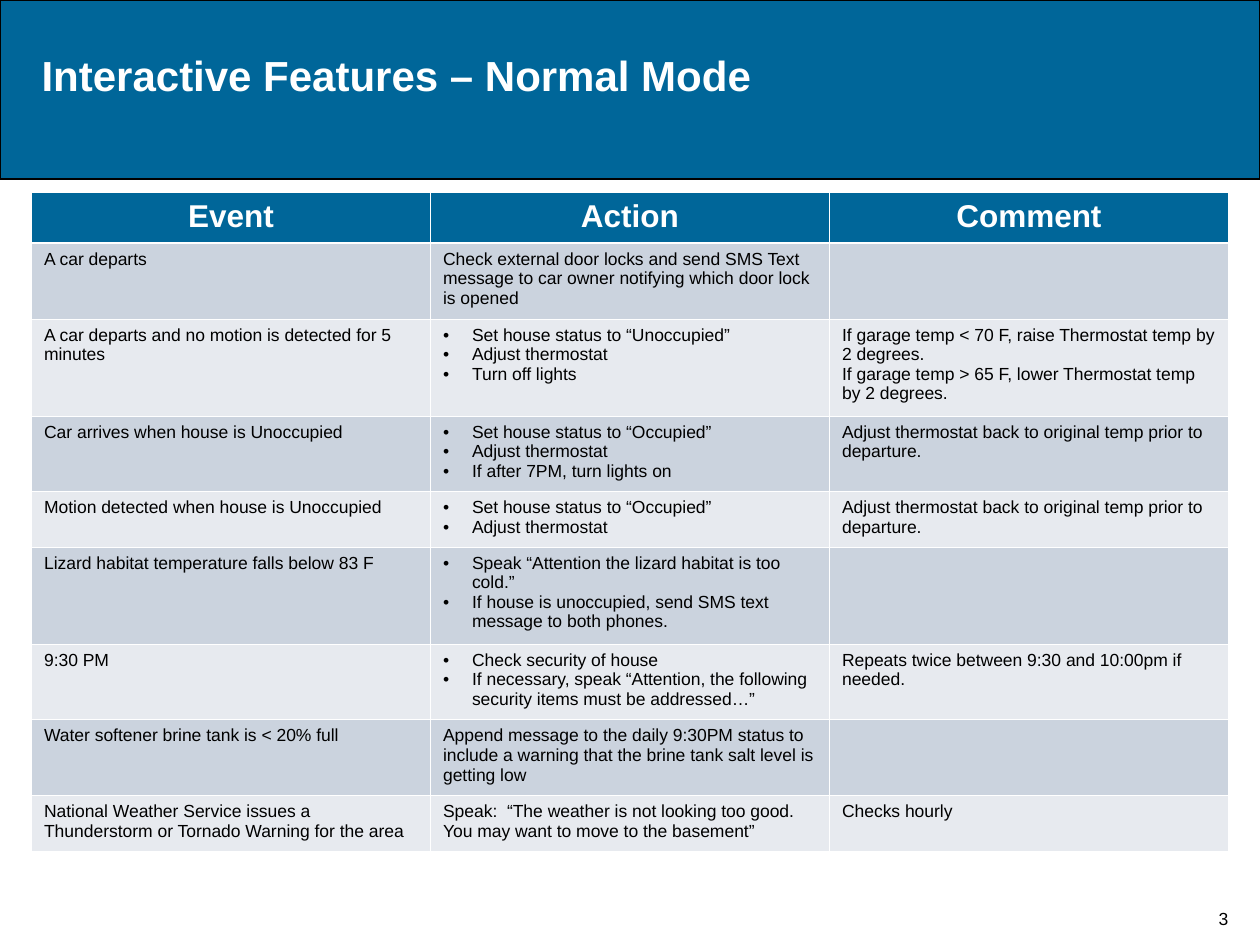
from lxml import etree
from pptx import Presentation
from pptx.dml.color import RGBColor
from pptx.enum import shapes, text
from pptx.oxml.ns import qn
from pptx.util import Inches, Pt

COLORS = {"blue": "006699", "black": "000000", "white": "FFFFFF",
          "band_dark": "CBD3DE", "band_light": "E7EAEF"}

HEADERS = ["Event", "Action", "Comment"]

# Event, action, comment, row height; a list of actions is bulleted
ROWS = [
    ("A car departs",
     "Check external door locks and send SMS Text message to car owner "
     "notifying which door lock is opened", "", 0.6),
    ("A car departs and no motion is detected for 5 minutes",
     ["Set house status to “Unoccupied”", "Adjust thermostat", "Turn off lights"],
     "If garage temp < 70 F, raise Thermostat temp by 2 degrees.\n"
     "If garage temp > 65 F, lower Thermostat temp by 2 degrees.", 0.77),
    ("Car arrives when house is Unoccupied",
     ["Set house status to “Occupied”", "Adjust thermostat",
      "If after 7PM, turn lights on"],
     "Adjust thermostat back to original temp prior to departure.", 0.6),
    ("Motion detected when house is Unoccupied",
     ["Set house status to “Occupied”", "Adjust thermostat"],
     "Adjust thermostat back to original temp prior to departure.", 0.44),
    ("Lizard habitat temperature falls below 83 F",
     ["Speak “Attention the lizard habitat is too cold.”",
      "If house is unoccupied, send SMS text message to both phones."], "", 0.77),
    ("9:30 PM",
     ["Check security of house",
      "If necessary, speak “Attention, the following security items must be addressed…”"],
     "Repeats twice between 9:30 and 10:00pm if needed.", 0.6),
    ("Water softener brine tank is < 20% full",
     "Append message to the daily 9:30PM status to include a warning that "
     "the brine tank salt level is getting low", "", 0.6),
    ("National Weather Service issues a Thunderstorm or Tornado Warning for the area",
     "Speak:  “The weather is not looking too good.  You may want to move to the basement”",
     "Checks hourly", 0.44),
]


def rgb(name):
    return RGBColor.from_string(COLORS[name])


class SlideBuilder:
    font_name = "Arial"
    header_height = 0.4
    thin, thick = 0.45, 1.47

    def __init__(self, deck):
        self.page = deck.slides.add_slide(deck.slide_layouts[5])

    def add_text(self, frame, lines, size, color, bold=False, align="LEFT", bullets=False):
        for index, line in enumerate(lines):
            para = frame.paragraphs[0] if index == 0 else frame.add_paragraph()
            para.alignment = getattr(text.PP_ALIGN, align)
            if bullets:
                self.bullet(para)
            span = para.add_run()
            span.text = line
            formats = {"name": self.font_name, "size": Pt(size), "bold": bold}
            for key, value in formats.items():
                setattr(span.font, key, value)
            span.font.color.rgb = rgb(color)

    def bullet(self, para):
        props = para._p.get_or_add_pPr()
        indent = Inches(0.23)
        props.set("marL", str(indent))
        props.set("indent", str(-indent))
        etree.SubElement(props, qn("a:buFont"), typeface=self.font_name)
        etree.SubElement(props, qn("a:buChar"), char="•")

    def band(self, left, top, width, height):
        band = self.page.shapes.add_shape(
            shapes.MSO_SHAPE.RECTANGLE, *map(Inches, (left, top, width, height)))
        band.shadow.inherit = False
        band.fill.solid()
        band.fill.fore_color.rgb = rgb("blue")
        band.line.color.rgb = rgb("black")
        band.line.width = Pt(1)
        # Behind the title placeholder
        self.page.shapes._spTree.insert(2, band._element)

    def title(self, words, left, top, width, height):
        title = self.page.shapes.title
        places = {"left": left, "top": top, "width": width, "height": height}
        for key, value in places.items():
            setattr(title, key, Inches(value))
        frame = title.text_frame
        formats = {"word_wrap": True, "auto_size": text.MSO_AUTO_SIZE.NONE,
                   "vertical_anchor": text.MSO_ANCHOR.TOP, "margin_top": Inches(0.1)}
        for key, value in formats.items():
            setattr(frame, key, value)
        self.add_text(frame, [words], 24, "white", bold=True)

    def page_number(self, number, left, top, width, height):
        box = self.page.shapes.add_textbox(*map(Inches, (left, top, width, height)))
        box.text_frame.word_wrap = False
        box.text_frame.vertical_anchor = text.MSO_ANCHOR.BOTTOM
        self.add_text(box.text_frame, [number], 10, "black", align="CENTER")

    def style_cell(self, cell, color, top, bottom):
        cell.fill.solid()
        cell.fill.fore_color.rgb = rgb(color)
        props = cell._tc.get_or_add_tcPr()
        widths = {"lnL": self.thin, "lnR": self.thin, "lnT": top, "lnB": bottom}
        for index, (side, width) in enumerate(widths.items()):
            line = etree.Element(qn("a:" + side), w=str(Pt(width)))
            fill = etree.SubElement(line, qn("a:solidFill"))
            etree.SubElement(fill, qn("a:srgbClr"), val=COLORS["white"])
            props.insert(index, line)

    def table(self, headers, rows, left, top, width):
        heights = [self.header_height] + [row[-1] for row in rows]
        table = self.page.shapes.add_table(
            len(heights), len(headers),
            *map(Inches, (left, top, width, sum(heights)))).table
        for column in table.columns:
            column.width = Inches(width / len(headers))
        for row, height in zip(table.rows, heights):
            row.height = Inches(height)

        # Header row
        for column, words in enumerate(headers):
            cell = table.cell(0, column)
            self.style_cell(cell, "blue", self.thin, self.thick)
            self.add_text(cell.text_frame, [words], 18, "white", bold=True, align="CENTER")

        # Body rows in alternating bands
        for number, row in enumerate(rows, 1):
            color = "band_dark" if number % 2 else "band_light"
            for column, content in enumerate(row[:-1]):
                cell = table.cell(number, column)
                self.style_cell(cell, color, self.thick if number == 1 else self.thin,
                                self.thin)
                bullets = isinstance(content, list)
                lines = content if bullets else content.splitlines()
                self.add_text(cell.text_frame, lines, 10, "black", bullets=bullets)


def main():
    deck = Presentation()
    deck.slide_width, deck.slide_height = Inches(10), Inches(7.5)
    builder = SlideBuilder(deck)
    builder.band(0, 0, 10, 1.42)
    builder.title("Interactive Features – Normal Mode", 0.23, 0.29, 9.43, 0.5)
    builder.page_number("3", 9.5, 6.92, 0.42, 0.5)
    builder.table(HEADERS, ROWS, 0.25, 1.53, 9.5)
    deck.save("out.pptx")


if __name__ == "__main__":
    main()
